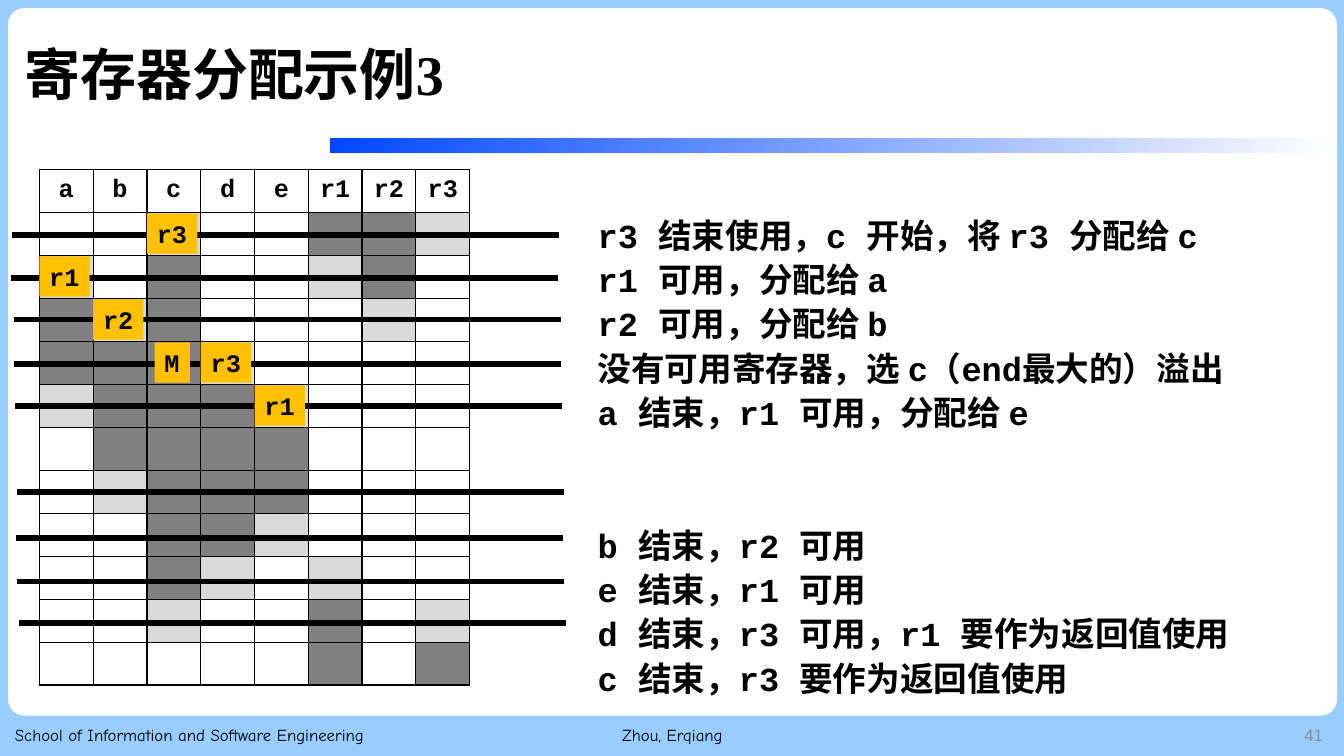
from lxml import etree
from pptx import Presentation
from pptx.dml.color import RGBColor
from pptx.enum.shapes import MSO_CONNECTOR as Link, MSO_SHAPE as Shape
from pptx.enum.text import MSO_ANCHOR as Anchor, PP_ALIGN as Align
from pptx.oxml.ns import qn
from pptx.util import Inches, Pt

BLACK = RGBColor(0, 0, 0)
WHITE = RGBColor(255, 255, 255)
SKY = RGBColor(0x99, 0xCC, 0xFF)
BLUE = RGBColor(0, 0x47, 0xFF)
GOLD = RGBColor(0xFF, 0xC0, 0)
DARK = RGBColor(0x80, 0x80, 0x80)
LIGHT = RGBColor(0xD9, 0xD9, 0xD9)
GRAY = RGBColor(0x8C, 0x8C, 0x8C)
MONO, HAN = "Courier New", "Noto Sans CJK SC"

TITLE = "寄存器分配示例3"
HEADS = ["a", "b", "c", "d", "e", "r1", "r2", "r3"]
# One letter per cell: D in use, L first or last use, . free
USAGE = [
    "..L..DDL",
    "L.D..LD.",
    "DLD...L.",
    "DDDL....",
    "LDDDL...",
    ".DDDD...",
    ".LDDD...",
    "..DDL...",
    "..DL.L..",
    "..L..D.L",
    ".....D.D",
]
# Text, column, row, width
TAGS = [("r3", 2, 1, 0.5), ("r1", 0, 2, 0.5), ("r2", 1, 3, 0.5),
        ("r3", 3, 4, 0.5), ("M", 2, 4, 0.35), ("r1", 4, 5, 0.5)]
# Left end and height of each program point
POINTS = [(0.12, 2.33), (0.11, 2.76), (0.14, 3.17), (0.14, 3.61), (0.15, 4.03),
          (0.17, 4.88), (0.16, 5.34), (0.17, 5.77), (0.19, 6.18)]
STARTS = [
    "r3 结束使用，c 开始，将 r3 分配给 c",
    "r1 可用，分配给 a",
    "r2 可用，分配给 b",
    "没有可用寄存器，选 c（end最大的）溢出",
    "a 结束，r1 可用，分配给 e",
]
ENDS = [
    "b 结束，r2 可用",
    "e 结束，r1 可用",
    "d 结束，r3 可用，r1 要作为返回值使用",
    "c 结束，r3 要作为返回值使用",
]
# Text, left, width, alignment, font, colour
FOOT = [
    ("School of Information and Software Engineering", 0.05, 4.32, Align.LEFT, "Comic Neue", BLACK),
    ("Zhou, Erqiang", 4.42, 4.5, Align.CENTER, "Comic Neue", BLACK),
    ("41", 10.22, 3, Align.RIGHT, "Arial", GRAY),
]
LEFT, TOP, COL, ROW = 0.39, 1.68, 4.27 / 8, 5.12 / 12
REACH = 5.42

deck = Presentation()
deck.slide_width, deck.slide_height = Inches(13.33), Inches(7.5)
slide = deck.slides.add_slide(deck.slide_layouts[5])
slide.background.fill.solid()
slide.background.fill.fore_color.rgb = SKY
shapes = slide.shapes


def box(*sizes):
    return [Inches(size) for size in sizes]


def write(para, text, size=18, font=MONO, color=BLACK, bold=True,
          align=Align.LEFT, space=1.0, before=0):
    para.alignment, para.line_spacing, para.space_before = align, space, Pt(before)
    run = para.add_run()
    run.text = text
    run.font.size, run.font.name, run.font.bold = Pt(size), font, bold
    run.font.color.rgb = color
    etree.SubElement(run.font._element, qn("a:ea")).set("typeface", HAN)


def block(kind, *sizes, fill=None):
    part = shapes.add_shape(kind, *box(*sizes))
    part.shadow.inherit = False
    part.line.fill.background()
    if fill is not None:
        part.fill.solid()
        part.fill.fore_color.rgb = fill
    return part


# Panel and fading bar
panel = block(Shape.ROUNDED_RECTANGLE, 0.08, 0.08, 13.18, 7.02, fill=WHITE)
panel.adjustments[0] = 0.023
bar = block(Shape.RECTANGLE, 3.27, 1.37, 9.99, 0.15)
bar.fill.gradient()
bar.fill.gradient_angle = 0
for stop, color in zip(bar.fill.gradient_stops, (BLUE, WHITE)):
    stop.color.rgb = color

# Title, in front of the panel
title = shapes.title
title.left, title.top, title.width, title.height = box(0.14, 0.15, 12.57, 1.24)
title.text_frame.vertical_anchor = Anchor.MIDDLE
write(title.text_frame.paragraphs[0], TITLE, size=40, font="Times New Roman", space=0.9)
shapes._spTree.append(title._element)

# Footer
for text, left, width, align, font, color in FOOT:
    frame = shapes.add_textbox(*box(left, 7.09, width, 0.4)).text_frame
    frame.word_wrap, frame.vertical_anchor = True, Anchor.MIDDLE
    write(frame.paragraphs[0], text, size=12, font=font, color=color, bold=False, align=align)

# Live range table
grid = shapes.add_table(len(USAGE) + 1, len(HEADS), *box(LEFT, TOP, 4.27, 5.12)).table
grid.first_row = grid.horz_banding = False
for col in grid.columns:
    col.width = Inches(COL)
for row in grid.rows:
    row.height = Inches(ROW)
for cell, head in zip(grid.rows[0].cells, HEADS):
    cell.vertical_anchor = Anchor.MIDDLE
    write(cell.text_frame.paragraphs[0], head, align=Align.CENTER)
for r, marks in enumerate(["." * len(HEADS)] + USAGE):
    for c, mark in enumerate(marks):
        cell = grid.cell(r, c)
        props = cell._tc.get_or_add_tcPr()
        for side in ("lnL", "lnR", "lnT", "lnB"):
            edge = etree.SubElement(props, qn("a:" + side), w=str(Pt(1)))
            paint = etree.SubElement(edge, qn("a:solidFill"))
            etree.SubElement(paint, qn("a:srgbClr"), val=str(BLACK))
        if mark == ".":
            cell.fill.background()
        else:
            cell.fill.solid()
            cell.fill.fore_color.rgb = DARK if mark == "D" else LIGHT

# Program points
for left, y in POINTS:
    line = shapes.add_connector(Link.STRAIGHT, *box(left, y, left + REACH, y))
    line.line.color.rgb, line.line.width = BLACK, Pt(4)
    etree.SubElement(line._element.spPr, qn("a:effectLst"))

# Register tags
for text, col, row, width in TAGS:
    left = LEFT + col * COL + (0.5 - width) / 2
    tag = block(Shape.RECTANGLE, left, TOP + row * ROW + 0.01, width, 0.4, fill=GOLD)
    tag.text_frame.word_wrap = False
    write(tag.text_frame.paragraphs[0], text)

# Allocation steps
frame = shapes.add_textbox(*box(5.83, 2.04, 7.34, 5.43)).text_frame
frame.word_wrap = True
for i, text in enumerate(STARTS + ENDS):
    para = frame.add_paragraph() if i else frame.paragraphs[0]
    write(para, text, size=24, space=1.1, before=63 if i == len(STARTS) else 0)

deck.save("out.pptx")
